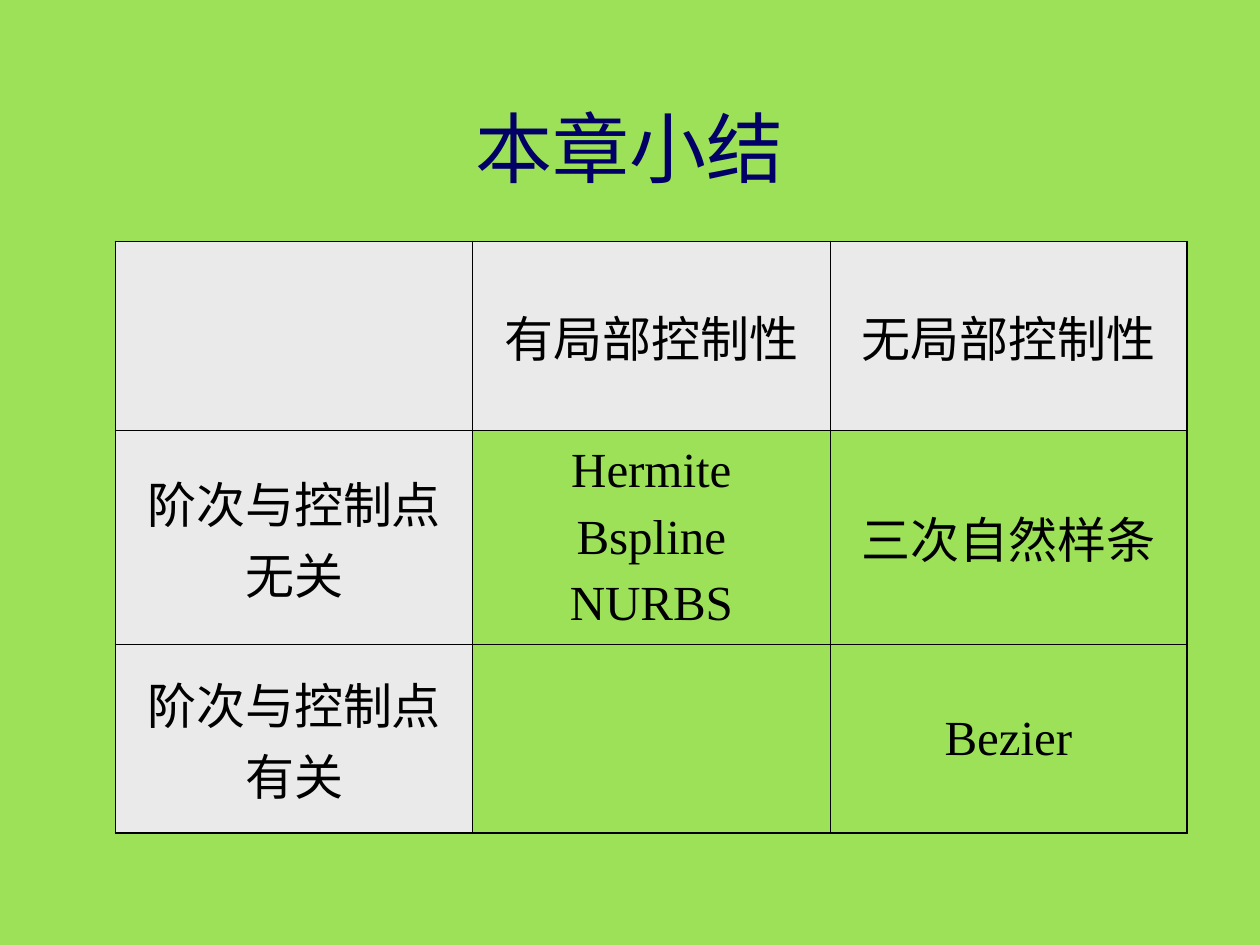
from dataclasses import dataclass

from lxml.etree import SubElement
from pptx import Presentation
from pptx.dml.color import RGBColor
from pptx.enum.text import MSO_ANCHOR as Anchor, MSO_AUTO_SIZE as AutoSize, PP_ALIGN as Align
from pptx.oxml.ns import qn
from pptx.util import Cm, Pt


@dataclass(frozen=True)
class Theme:
    background: str = "9CE157"
    title: str = "000066"
    text: str = "000000"
    header: str = "EAEAEA"
    border: str = "000000"
    font: str = "Times New Roman"
    title_size: float = 44
    cell_size: float = 28
    cell_spacing: float = 7
    outer_line: float = 1.08
    inner_line: float = 0.45


theme = Theme()


def add_text(paragraph, text, size, color):
    paragraph.alignment = Align.CENTER
    run = paragraph.add_run()
    run.text = text
    run.font.name = theme.font
    run.font.size = Pt(size)
    run.font.color.rgb = RGBColor.from_string(color)


def add_border(cell, side, width):
    line = SubElement(cell._tc.get_or_add_tcPr(), qn(f"a:ln{side}"), w=str(Pt(width)))
    fill = SubElement(line, qn("a:solidFill"))
    SubElement(fill, qn("a:srgbClr"), val=theme.border)


presentation = Presentation()
presentation.slide_width = Cm(25.4)
presentation.slide_height = Cm(19.05)
slide = presentation.slides.add_slide(presentation.slide_layouts[5])
slide.background.fill.solid()
slide.background.fill.fore_color.rgb = RGBColor.from_string(theme.background)

title = slide.shapes.title
title.left, title.top, title.width, title.height = Cm(1.9), Cm(1.9), Cm(21.6), Cm(2.12)
title.text_frame.vertical_anchor = Anchor.MIDDLE
title.text_frame.auto_size = AutoSize.SHAPE_TO_FIT_TEXT
add_text(title.text_frame.paragraphs[0], "本章小结", theme.title_size, theme.title)

rows = [
    [[], ["有局部控制性"], ["无局部控制性"]],
    [["阶次与控制点无关"], ["Hermite", "Bspline", "NURBS"], ["三次自然样条"]],
    [["阶次与控制点有关"], [], ["Bezier"]],
]
row_heights = [3.81, 4.3, 3.81]
last = len(rows) - 1

table = slide.shapes.add_table(
    3, 3, Cm(2.33), Cm(4.87), Cm(21.6), Cm(sum(row_heights))
).table
for column in table.columns:
    column.width = Cm(7.2)

for row_index, (row, height) in enumerate(zip(rows, row_heights)):
    table.rows[row_index].height = Cm(height)
    for column_index, lines in enumerate(row):
        cell = table.cell(row_index, column_index)
        cell.vertical_anchor = Anchor.MIDDLE
        outer_sides = {
            "L": column_index == 0,
            "R": column_index == last,
            "T": row_index == 0,
            "B": row_index == last,
        }
        for side, is_outer in outer_sides.items():
            add_border(cell, side, theme.outer_line if is_outer else theme.inner_line)
        if row_index == 0 or column_index == 0:
            cell.fill.solid()
            cell.fill.fore_color.rgb = RGBColor.from_string(theme.header)
        else:
            cell.fill.background()
        text_frame = cell.text_frame
        for line_index, text in enumerate(lines):
            paragraph = text_frame.add_paragraph() if line_index else text_frame.paragraphs[0]
            paragraph.space_before = Pt(theme.cell_spacing)
            add_text(paragraph, text, theme.cell_size, theme.text)

presentation.save("out.pptx")
